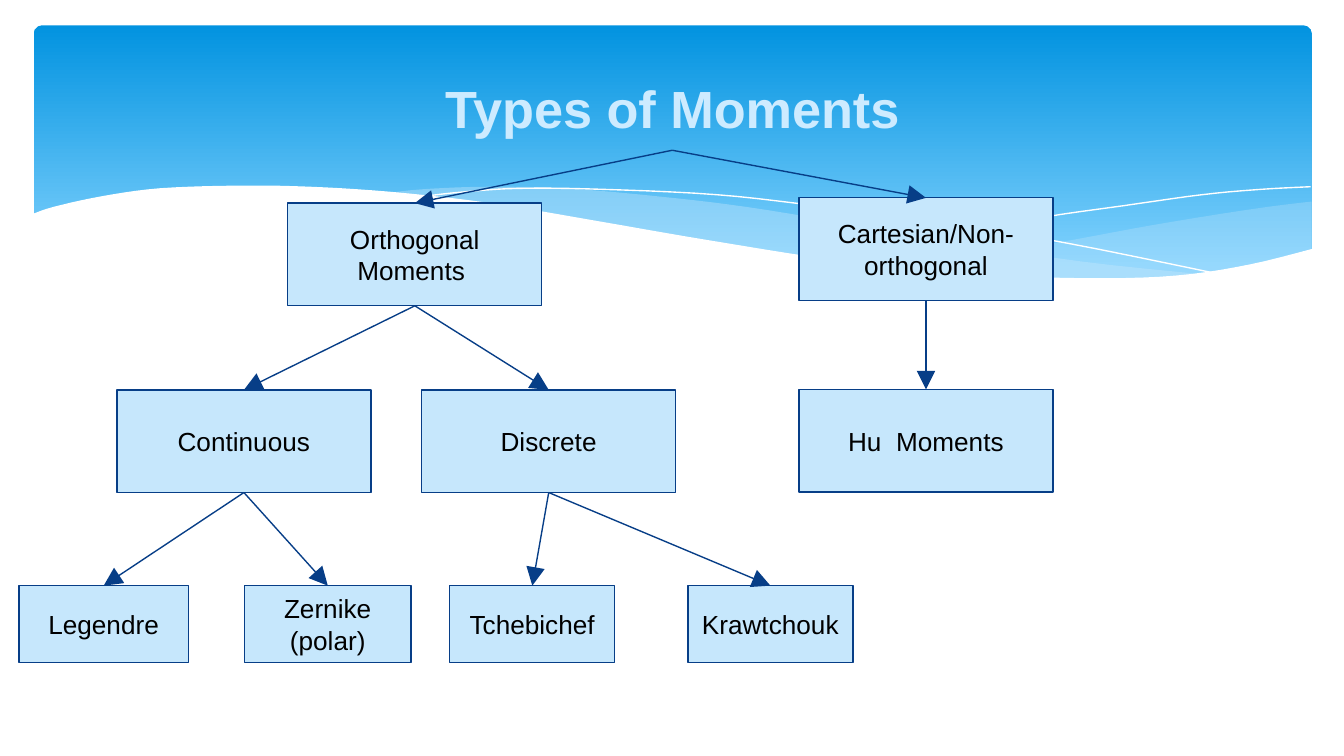
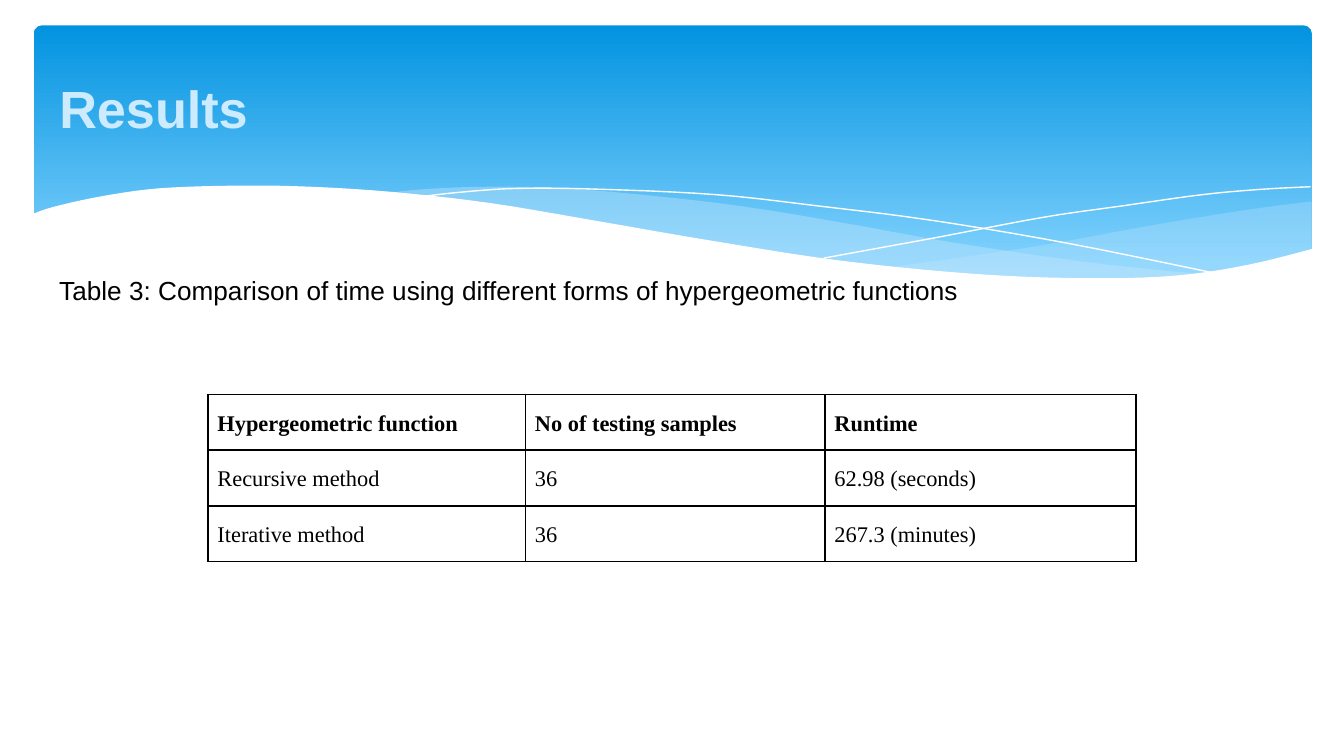
from dataclasses import dataclass

from lxml import etree
from pptx import Presentation
from pptx.dml.color import RGBColor
from pptx.enum.shapes import MSO_CONNECTOR, MSO_SHAPE
from pptx.enum.text import MSO_ANCHOR, MSO_AUTO_SIZE, PP_ALIGN
from pptx.oxml.ns import qn
from pptx.shapes.base import BaseShape
from pptx.slide import Slide
from pptx.table import _Cell
from pptx.text.text import TextFrame, _Paragraph
from pptx.util import Cm, Pt

ROUNDED, RECT = MSO_SHAPE.ROUNDED_RECTANGLE, MSO_SHAPE.RECTANGLE
STRAIGHT = MSO_CONNECTOR.STRAIGHT
LEFT, CENTER = PP_ALIGN.LEFT, PP_ALIGN.CENTER
TOP, MIDDLE = MSO_ANCHOR.TOP, MSO_ANCHOR.MIDDLE
NO_AUTOFIT = MSO_AUTO_SIZE.NONE

WHITE = RGBColor(0xFF, 0xFF, 0xFF)
BLACK = RGBColor(0x00, 0x00, 0x00)
BAND_TOP = RGBColor(0x02, 0x93, 0xE0)
BAND_BOTTOM = RGBColor(0x83, 0xD3, 0xFE)
PALE_BLUE = RGBColor(0xC6, 0xE7, 0xFC)
NAVY = RGBColor(0x07, 0x3E, 0x87)
TITLE_COLOR = RGBColor(0xCD, 0xEB, 0xFF)
TITLE_OUTLINE = RGBColor(0x00, 0x3D, 0x8E)

SANS, SERIF = "Arial", "Times New Roman"
INSET = 0.25
TITLE_ONLY = 5
TOP_SITE, BOTTOM_SITE = 0, 2
LINE_SPACING = 1.15

Points = tuple[tuple[float, float], ...]


@dataclass(frozen=True)
class Wave:
    """A band decoration; each edge is a smooth curve through its knots (cm)."""
    edges: tuple[Points, ...]
    fill: RGBColor | None = None
    opacity: int = 100


@dataclass(frozen=True)
class Node:
    """A box of the tree, in cm, with the boxes below it."""
    text: str
    left: float
    top: float
    width: float = 4.8
    height: float = 1.94
    children: tuple["Node", ...] = ()


WAVES = (
    Wave((((24.79, 3.81), (23.75, 3.94), (21.87, 4.24), (19.79, 4.62),
           (17.93, 4.9), (16.79, 5.05)),
          ((16.79, 5.05), (18.26, 5.18), (19.84, 5.28), (21.21, 5.28),
           (22.38, 5.21), (23.57, 5.03), (24.79, 4.7))), PALE_BLUE, 29),
    Wave((((22.68, 5.18), (20.5, 4.95), (17.93, 4.57), (15.98, 4.22),
           (14.1, 3.91), (12.42, 3.71), (10.67, 3.56), (9.17, 3.53),
           (7.95, 3.58), (7.26, 3.66)),
          ((7.26, 3.66), (9.19, 3.86), (11.4, 4.22), (13.46, 4.57),
           (15.7, 4.93), (17.65, 5.16), (19.33, 5.28), (20.78, 5.31),
           (21.77, 5.28), (22.68, 5.18))), PALE_BLUE, 40),
    Wave((((7.85, 3.73), (8.74, 3.63), (9.83, 3.56), (11.43, 3.58),
           (13.54, 3.68), (15.44, 3.89), (17.65, 4.17), (20.19, 4.6),
           (23.04, 5.18)),)),
    Wave((((15.57, 4.88), (17.65, 4.5), (19.71, 4.11), (21.23, 3.89),
           (22.73, 3.68), (23.83, 3.58), (24.77, 3.53)),)),
    Wave((((24.82, 4.7), (23.62, 5.0), (22.23, 5.21), (20.55, 5.26),
           (18.44, 5.18), (15.9, 4.93), (13.44, 4.55), (11.35, 4.19),
           (9.27, 3.84), (7.42, 3.63), (5.84, 3.53), (4.5, 3.51),
           (3.02, 3.56), (1.93, 3.71), (1.02, 3.91), (0.58, 4.06)),
          ((0.58, 6.27), (24.82, 6.27))), WHITE),
)

LEAF_TOP, LEAF_HEIGHT = 11.07, 1.46
MOMENTS = (
    Node("Orthogonal Moments ", 5.44, 3.84, children=(
        Node("Continuous", 2.21, 7.37, children=(
            Node("Legendre", 0.36, LEAF_TOP, 3.2, LEAF_HEIGHT),
            Node("Zernike\n(polar)", 4.62, LEAF_TOP, 3.15, LEAF_HEIGHT))),
        Node("Discrete", 7.97, 7.37, children=(
            Node("Tchebichef", 8.5, LEAF_TOP, 3.12, LEAF_HEIGHT),
            Node("Krawtchouk", 13.0, LEAF_TOP, 3.12, LEAF_HEIGHT))))),
    Node("Cartesian/Non-orthogonal", 15.1, 3.74, children=(
        Node("Hu  Moments", 15.1, 7.36),)),
)

RUNTIMES = (
    ("Hypergeometric function", "No of testing samples", "Runtime"),
    ("Recursive method", "36", "62.98 (seconds)"),
    ("Iterative method", "36", "267.3 (minutes)"),
)
COLUMN_WIDTHS = (6.0, 5.66, 5.88)
ROW_HEIGHT = 1.05


def add_solid_fill(parent: etree._Element, color: RGBColor) -> None:
    fill = etree.SubElement(parent, qn("a:solidFill"))
    etree.SubElement(fill, qn("a:srgbClr"), val=str(color))


def style_paragraph(p: _Paragraph, size: float, color: RGBColor = BLACK,
                    name: str = SANS, bold: bool = False) -> None:
    p.font.name, p.font.size, p.font.bold = name, Pt(size), bold
    p.font.color.rgb = color


def set_frame(tf: TextFrame, anchor: MSO_ANCHOR) -> None:
    tf.word_wrap, tf.auto_size, tf.vertical_anchor = True, NO_AUTOFIT, anchor
    tf.margin_left = tf.margin_right = Cm(INSET)
    tf.margin_top = tf.margin_bottom = Cm(INSET)


def smooth(knots: Points, steps: int = 5) -> list[tuple[int, int]]:
    """Catmull-Rom curve through the knots; two knots stay a straight line."""
    padded = (knots[0], *knots, knots[-1])
    curve = [knots[0]]
    for a, b, c, d in zip(padded, padded[1:], padded[2:], padded[3:]):
        for step in range(1, steps + 1):
            t = step / steps
            curve.append(tuple(
                q + t / 2 * (r - o + t * (2 * o - 5 * q + 4 * r - s
                                          + t * (3 * q - o - 3 * r + s)))
                for o, q, r, s in zip(a, b, c, d)))
    return [(Cm(x), Cm(y)) for x, y in curve]


def add_wave(slide: Slide, wave: Wave) -> None:
    start, *rest = [point for edge in wave.edges for point in smooth(edge)]
    builder = slide.shapes.build_freeform(*start)
    builder.add_line_segments(rest, close=wave.fill is not None)
    sp = builder.convert_to_shape()
    sp.shadow.inherit = False
    if wave.fill is None:
        sp.fill.background()
        sp.line.color.rgb, sp.line.width = WHITE, Pt(0)
        return
    sp.fill.solid()
    sp.fill.fore_color.rgb = wave.fill
    sp.line.fill.background()
    if wave.opacity < 100:
        color = sp._element.spPr.find(".//" + qn("a:srgbClr"))
        etree.SubElement(color, qn("a:alpha"), val=str(wave.opacity * 1000))


def add_band(slide: Slide) -> None:
    band = slide.shapes.add_shape(ROUNDED, Cm(0.64), Cm(0.48), Cm(24.15), Cm(5.13))
    band.adjustments[0] = 0.03
    band.shadow.inherit = False
    band.line.fill.background()
    band.fill.gradient()
    band.fill.gradient_angle = 270
    colors = ((0, BAND_TOP), (0.9, BAND_BOTTOM))
    for stop, (position, color) in zip(band.fill.gradient_stops, colors):
        stop.position, stop.color.rgb = position, color
    for wave in WAVES:
        add_wave(slide, wave)


def add_titled_slide(prs: Presentation, text: str, align: PP_ALIGN) -> Slide:
    slide = prs.slides.add_slide(prs.slide_layouts[TITLE_ONLY])
    add_band(slide)
    title = slide.shapes.title
    slide.shapes._spTree.append(title._element)  # in front of the band
    title.left, title.top, title.width, title.height = Cm(0.87), Cm(1.24), Cm(23.67), Cm(1.6)
    tf = title.text_frame
    tf.text = text
    set_frame(tf, MIDDLE)
    p = tf.paragraphs[0]
    p.alignment = align
    style_paragraph(p, 28, TITLE_COLOR, bold=True)
    outline = etree.SubElement(p.runs[0]._r.get_or_add_rPr(), qn("a:ln"), w=str(Pt(1)))
    add_solid_fill(outline, TITLE_OUTLINE)
    return slide


def add_box(slide: Slide, node: Node) -> BaseShape:
    sp = slide.shapes.add_shape(RECT, Cm(node.left), Cm(node.top),
                                Cm(node.width), Cm(node.height))
    sp.shadow.inherit = False
    sp.fill.solid()
    sp.fill.fore_color.rgb = PALE_BLUE
    sp.line.color.rgb, sp.line.width = NAVY, Pt(0.75)
    tf = sp.text_frame
    tf.text = node.text
    set_frame(tf, MIDDLE)
    for p in tf.paragraphs:
        p.alignment = CENTER
        style_paragraph(p, 14)
    return sp


def add_arrow(slide: Slide, parent: BaseShape, child: BaseShape) -> None:
    arrow = slide.shapes.add_connector(STRAIGHT, 0, 0, 0, 0)
    arrow.begin_connect(parent, BOTTOM_SITE)
    arrow.end_connect(child, TOP_SITE)
    arrow.line.color.rgb, arrow.line.width = NAVY, Pt(0.75)
    etree.SubElement(arrow.line._ln, qn("a:tailEnd"), type="triangle", w="lg", len="lg")
    etree.SubElement(arrow._element.spPr, qn("a:effectLst"))


def add_branches(slide: Slide, parent: BaseShape, nodes: tuple[Node, ...]) -> None:
    for node in nodes:
        box = add_box(slide, node)
        add_arrow(slide, parent, box)
        add_branches(slide, box, node.children)


def style_cell(cell: _Cell, text: str, bold: bool) -> None:
    cell.text = text
    cell.vertical_anchor = TOP
    cell.margin_left = cell.margin_right = Cm(0.18)
    cell.margin_top = cell.margin_bottom = Cm(0.24)
    cell.fill.background()
    p = cell.text_frame.paragraphs[0]
    p.line_spacing = LINE_SPACING
    style_paragraph(p, 12, name=SERIF, bold=bold)
    tcPr = cell._tc.get_or_add_tcPr()
    for i, side in enumerate("LRTB"):
        border = etree.Element(qn(f"a:ln{side}"), w=str(Pt(1)))
        add_solid_fill(border, BLACK)
        tcPr.insert(i, border)


def add_runtime_table(slide: Slide) -> None:
    table = slide.shapes.add_table(
        len(RUNTIMES), len(COLUMN_WIDTHS), Cm(3.93), Cm(7.46),
        Cm(sum(COLUMN_WIDTHS)), Cm(ROW_HEIGHT * len(RUNTIMES))).table
    table.first_row = table.horz_banding = False
    for column, width in zip(table.columns, COLUMN_WIDTHS):
        column.width = Cm(width)
    for r, values in enumerate(RUNTIMES):
        table.rows[r].height = Cm(ROW_HEIGHT)
        for c, value in enumerate(values):
            style_cell(table.cell(r, c), value, bold=r == 0)


def add_caption(slide: Slide, text: str) -> None:
    tf = slide.shapes.add_textbox(Cm(0.87), Cm(4.85), Cm(23.67), Cm(7.7)).text_frame
    tf.text = text
    set_frame(tf, TOP)
    p = tf.paragraphs[0]
    p.line_spacing = LINE_SPACING
    style_paragraph(p, 14)


def main() -> None:
    prs = Presentation()
    prs.slide_width, prs.slide_height = Cm(25.4), Cm(14.29)

    types = add_titled_slide(prs, "Types of Moments", CENTER)
    add_branches(types, types.shapes.title, MOMENTS)

    results = add_titled_slide(prs, "Results", LEFT)
    add_caption(results, "Table 3: Comparison of time using different forms "
                         "of hypergeometric functions")
    add_runtime_table(results)
    prs.save("out.pptx")


if __name__ == "__main__":
    main()
